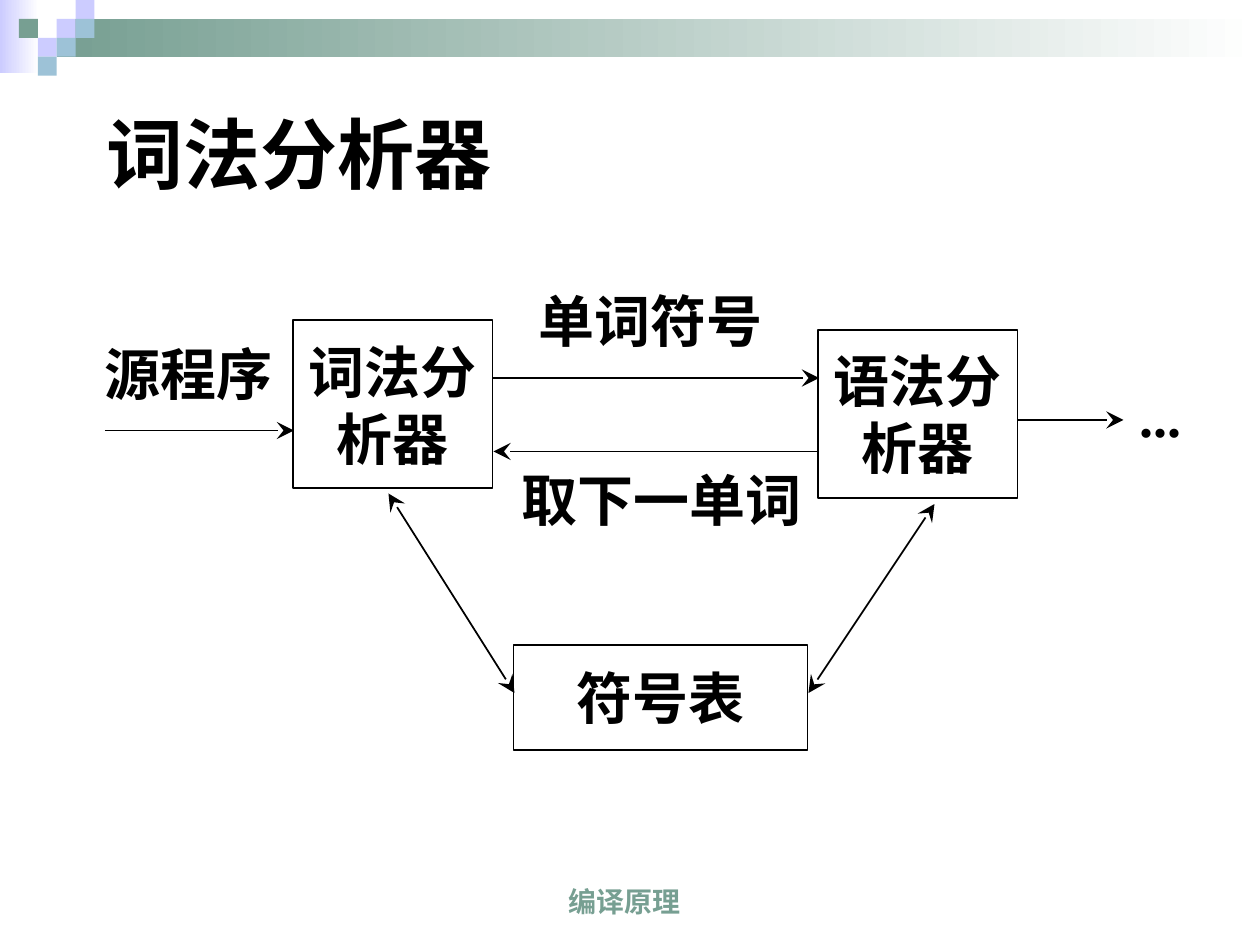
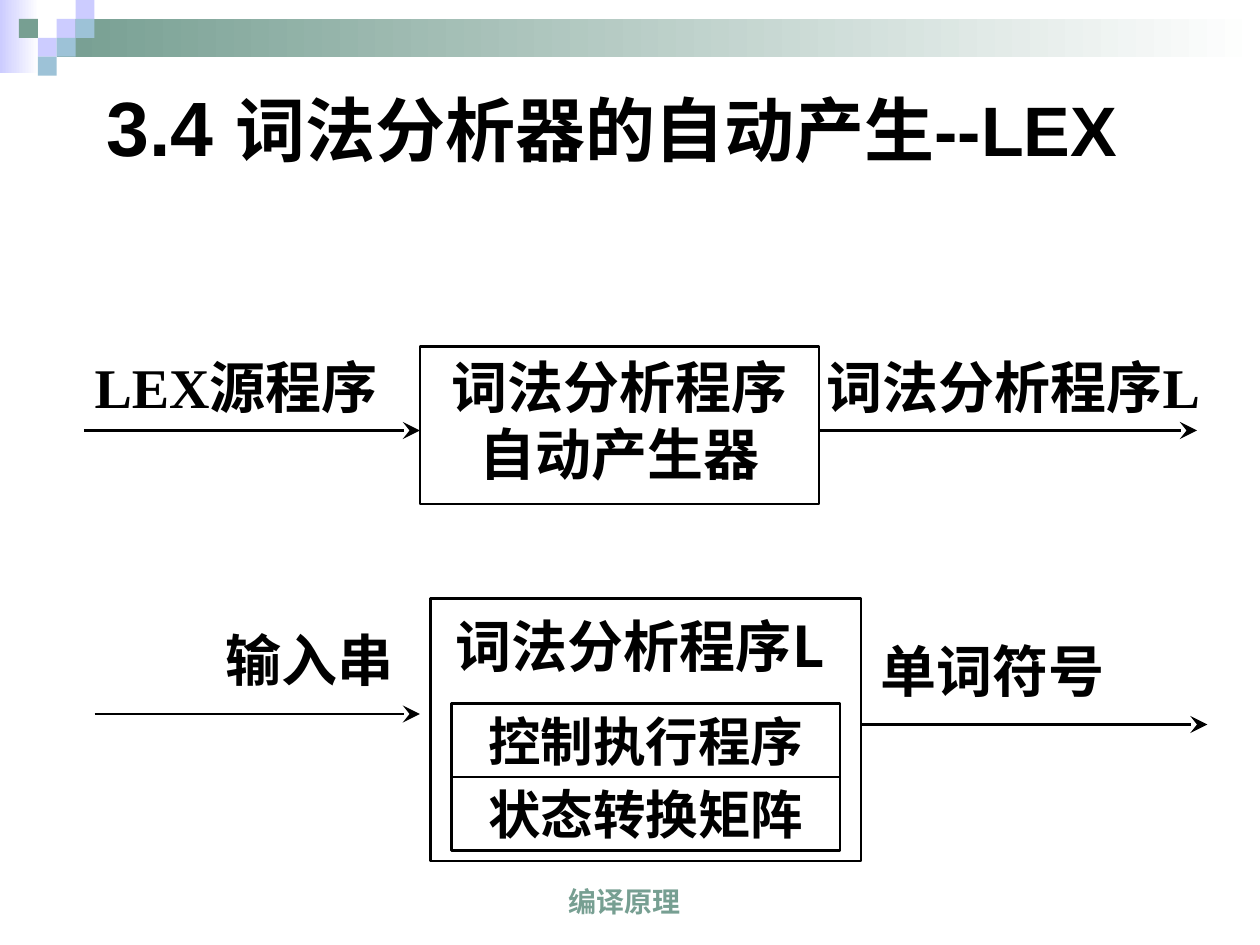
from pptx import Presentation
from pptx import util as u
from pptx.dml.color import RGBColor
from pptx.enum import shapes, text
from pptx.oxml.ns import qn
from lxml import etree

prs = Presentation()
prs.slide_width, prs.slide_height = u.Inches(10), u.Inches(7.5)
# grid of 120 columns by 90 rows, square cells
G = prs.slide_width / 120
rgb = RGBColor.from_string
BLACK, GREEN, LILAC, BLUE, WHITE = "000000", "779F92", "CCCCFF", "9DC2D7", "FFFFFF"
ARIAL, TIMES, CJK = "Arial", "Times New Roman", "Noto Sans CJK SC"
TOP, MID, BOTTOM = text.MSO_ANCHOR.TOP, text.MSO_ANCHOR.MIDDLE, text.MSO_ANCHOR.BOTTOM
LEFT, CENTER, JUSTIFY = text.PP_ALIGN.LEFT, text.PP_ALIGN.CENTER, text.PP_ALIGN.JUSTIFY


def box(s, at, words="", size=32, font=TIMES, color=BLACK, line=0, fill=None,
        align=CENTER, frame=None, spacing=None):
    """Rectangle or label; words is a string or a list of (words, size) runs."""
    at = [round(v * G) for v in at]
    if line or fill:
        sp = s.shapes.add_shape(shapes.MSO_SHAPE.RECTANGLE, *at)
        sp.shadow.inherit = False
        if not fill:
            sp.fill.background()
        elif isinstance(fill, str):
            sp.fill.solid()
            sp.fill.fore_color.rgb = rgb(fill)
        else:
            sp.fill.gradient()
            sp.fill.gradient_angle = 0
            for stop, c in zip(sp.fill.gradient_stops, fill):
                stop.color.rgb = rgb(c)
        if line:
            sp.line.color.rgb = rgb(BLACK)
            sp.line.width = u.Pt(line)
        else:
            sp.line.fill.background()
    else:
        sp = s.shapes.add_textbox(*at)
    if not words:
        return sp
    tf = sp.text_frame
    for k, v in {"word_wrap": True, "vertical_anchor": MID, **(frame or {})}.items():
        setattr(tf, k, v)
    paras = [[(t, size)] for t in words.split("\n")] if isinstance(words, str) else [words]
    for i, runs in enumerate(paras):
        p = tf.add_paragraph() if i else tf.paragraphs[0]
        p.alignment, p.line_spacing = align, spacing
        for t, sz in runs:
            r = p.add_run()
            r.text = t
            for k, v in {"size": u.Pt(sz), "bold": True, "name": font}.items():
                setattr(r.font, k, v)
            r.font.color.rgb = rgb(color)
            etree.SubElement(r.font._element, qn("a:ea"), typeface=CJK)
    return sp


def arrow(s, x1, y1, x2, y2, width, both=False):
    ends = [round(v * G) for v in (x1, y1, x2, y2)]
    c = s.shapes.add_connector(shapes.MSO_CONNECTOR.STRAIGHT, *ends)
    c.line.color.rgb = rgb(BLACK)
    c.line.width = u.Pt(width)
    ln = c.line._get_or_add_ln()
    for end in ("a:headEnd", "a:tailEnd") if both else ("a:tailEnd",):
        etree.SubElement(ln, qn(end), type="stealth", w="lg", len="lg")
    etree.SubElement(c._element.spPr, qn("a:effectLst"))


# Shared band, mosaic tiles and footer
TILE = 1.8
tiles = [(2, 1, LILAC), (3, 0, LILAC), (3, 1, BLUE), (1, 2, LILAC),
         (0, 1, GREEN), (2, 2, BLUE), (1, 3, BLUE)]
slides = []
for _ in range(2):
    s = prs.slides.add_slide(prs.slide_layouts[6])
    box(s, (0, 0, 3.7, 7), fill=(LILAC, WHITE))
    box(s, (5.4, TILE, 114.6, 2 * TILE), fill=(GREEN, WHITE))
    for col, row, c in tiles:
        box(s, (TILE * (col + 1), TILE * row, TILE, TILE), fill=c)
    box(s, (38.25, 82, 42.5, 6), "编译原理", 16, ARIAL, GREEN,
        frame={"vertical_anchor": BOTTOM})
    slides.append(s)
lexer, lex = slides

# Slide 1: lexer, parser and symbol table
box(lexer, (9, 7, 105, 15), "词法分析器", 44, CJK, align=LEFT)
nowrap = {"word_wrap": False}
for at, words in [((27.9, 30.5, 19, 16), "词法分\n析器"),
                  ((77.9, 31.4, 19, 16), "语法分\n析器"),
                  ((48.9, 61.4, 28, 10), "符号表")]:
    box(lexer, at, words, line=1, frame=nowrap)
for at, words in [((8, 31, 20, 9), "源程序"), ((47, 26, 30, 9), "单词符号"),
                  ((48, 43, 30, 9), "取下一单词"), ((105, 35, 11, 9), "...")]:
    box(lexer, at, words, frame=nowrap)
for ends in [(10, 41, 28, 41), (47, 36, 78, 36), (78, 43, 47, 43), (97, 40, 107, 40)]:
    arrow(lexer, *ends, 1)
for ends in [(37, 47, 49, 66), (89, 48, 77, 66)]:
    arrow(lexer, *ends, 1, both=True)

# Slide 2: generating a lexer with LEX
box(lex, (9, 7, 103, 10), [("3.4 ", 44), ("词法分析器的自动产生--LEX", 40)], 40, ARIAL, align=LEFT)
top = {"vertical_anchor": TOP}
box(lex, (40, 33, 38, 15), "词法分析程序自动产生器", line=1.5, frame=top)
for at, words, font in [((76, 33, 41, 8), "词法分析程序L", TIMES),
                        ((6, 33, 33, 8), "LEX源程序", TIMES),
                        ((78, 60, 33, 8), "单词符号", CJK),
                        ((13, 59, 33, 8), "输入串", CJK)]:
    box(lex, at, words, font=font, frame=top)
box(lex, (41, 57, 41, 25), "词法分析程序L", font=CJK, line=1.5, align=JUSTIFY, spacing=1.1,
    frame={**top, "margin_left": u.Inches(0.2)})
for i, words in enumerate(["控制执行程序", "状态转换矩阵"]):
    box(lex, (43, 67 + 7 * i, 37, 7), words, 30, CJK, line=1.5, frame=nowrap)
for ends in [(8, 41, 40, 41), (78, 41, 114, 41), (9, 68, 40, 68), (82, 69, 115, 69)]:
    arrow(lex, *ends, 1.5)

prs.save("out.pptx")
